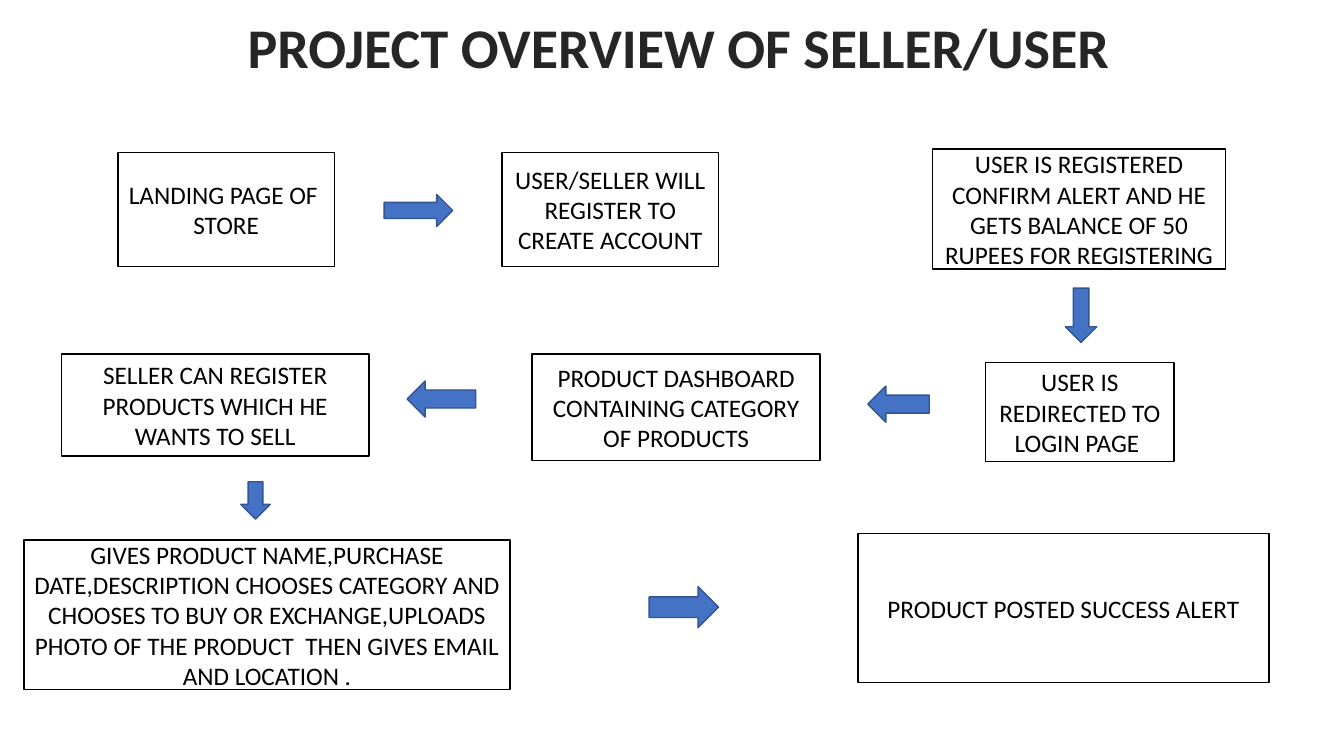
from lxml import etree
from pptx import Presentation
from pptx.dml.color import RGBColor
from pptx.enum.shapes import MSO_SHAPE as Preset
from pptx.enum.text import MSO_ANCHOR as Anchor, MSO_AUTO_SIZE as AutoSize, PP_ALIGN as Align
from pptx.oxml import parse_xml
from pptx.oxml.ns import nsdecls
from pptx.util import Cm, Pt

COLORS = {
    "white": "FFFFFF",
    "black": "000000",
    "title": "262626",
    "arrow": "4472C4",
    "arrow_line": "325491",
}


def add_block(preset, bounds, fill, line):
    shape = slide.shapes.add_shape(preset, *[Cm(length) for length in bounds])
    shape.shadow.inherit = False
    shape.fill.solid()
    shape.fill.fore_color.rgb = RGBColor.from_string(COLORS[fill])
    shape.line.color.rgb = RGBColor.from_string(COLORS[line])
    shape.line.width = Pt(1)
    return shape


def write_text(frame, text, size, color, bold=False):
    frame.text = text
    for paragraph in frame.paragraphs:
        paragraph.alignment = Align.CENTER
        for run in paragraph.runs:
            run.font.name = "Calibri"
            run.font.size = Pt(size)
            run.font.bold = bold
            run.font.color.rgb = RGBColor.from_string(COLORS[color])


presentation = Presentation()
presentation.slide_width = Cm(33.87)
presentation.slide_height = Cm(19.05)
slide = presentation.slides.add_slide(presentation.slide_layouts[6])

# Title with a thin white text outline
title = slide.shapes.add_textbox(Cm(5.72), Cm(0.2), Cm(22.76), Cm(1.96))
title_frame = title.text_frame
title_frame.word_wrap = False
title_frame.auto_size = AutoSize.SHAPE_TO_FIT_TEXT
write_text(title_frame, "PROJECT OVERVIEW OF SELLER/USER", 40, "title", bold=True)
outline = parse_xml(
    f'<a:ln {nsdecls("a")} w="{Pt(1.06)}"><a:solidFill>'
    f'<a:srgbClr val="{COLORS["white"]}"/></a:solidFill></a:ln>'
)
title_frame.paragraphs[0].runs[0].font._element.insert(0, outline)

# Steps: left, top, width, height in cm, and text
steps = [
    (2.97, 3.84, 5.46, 2.87, "LANDING PAGE OF \nSTORE"),
    (12.65, 3.84, 5.46, 2.87, "USER/SELLER WILL REGISTER TO CREATE ACCOUNT"),
    (23.5, 3.76, 7.39, 3.02,
     "USER IS REGISTERED\nCONFIRM ALERT AND HE GETS BALANCE OF 50 RUPEES FOR REGISTERING"),
    (24.84, 9.14, 4.75, 2.49, "USER IS REDIRECTED TO LOGIN PAGE "),
    (13.41, 8.92, 7.26, 2.69, "PRODUCT DASHBOARD\nCONTAINING CATEGORY OF PRODUCTS"),
    (1.55, 8.92, 7.75, 2.57, "SELLER CAN REGISTER PRODUCTS WHICH HE WANTS TO SELL"),
    (0.61, 13.61, 12.24, 3.76,
     "GIVES PRODUCT NAME,PURCHASE DATE,DESCRIPTION CHOOSES CATEGORY AND CHOOSES "
     "TO BUY OR EXCHANGE,UPLOADS PHOTO OF THE PRODUCT  THEN GIVES EMAIL AND LOCATION ."),
    (21.62, 13.44, 10.36, 3.76, "PRODUCT POSTED SUCCESS ALERT"),
]
for *bounds, text in steps:
    step = add_block(Preset.RECTANGLE, bounds, "white", "black")
    step.text_frame.word_wrap = True
    step.text_frame.vertical_anchor = Anchor.MIDDLE
    write_text(step.text_frame, text, 18, "black")

# Arrows between the steps
arrows = [
    (Preset.RIGHT_ARROW, 9.68, 4.9, 1.73, 0.81),
    (Preset.DOWN_ARROW, 26.85, 7.26, 0.79, 1.37),
    (Preset.LEFT_ARROW, 21.87, 9.73, 1.55, 0.91),
    (Preset.LEFT_ARROW, 10.26, 9.6, 1.73, 0.91),
    (Preset.DOWN_ARROW, 6.07, 12.14, 0.74, 0.94),
    (Preset.RIGHT_ARROW, 16.36, 14.78, 1.75, 1.04),
]
for preset, *bounds in arrows:
    add_block(preset, bounds, "arrow", "arrow_line")

presentation.save("out.pptx")
